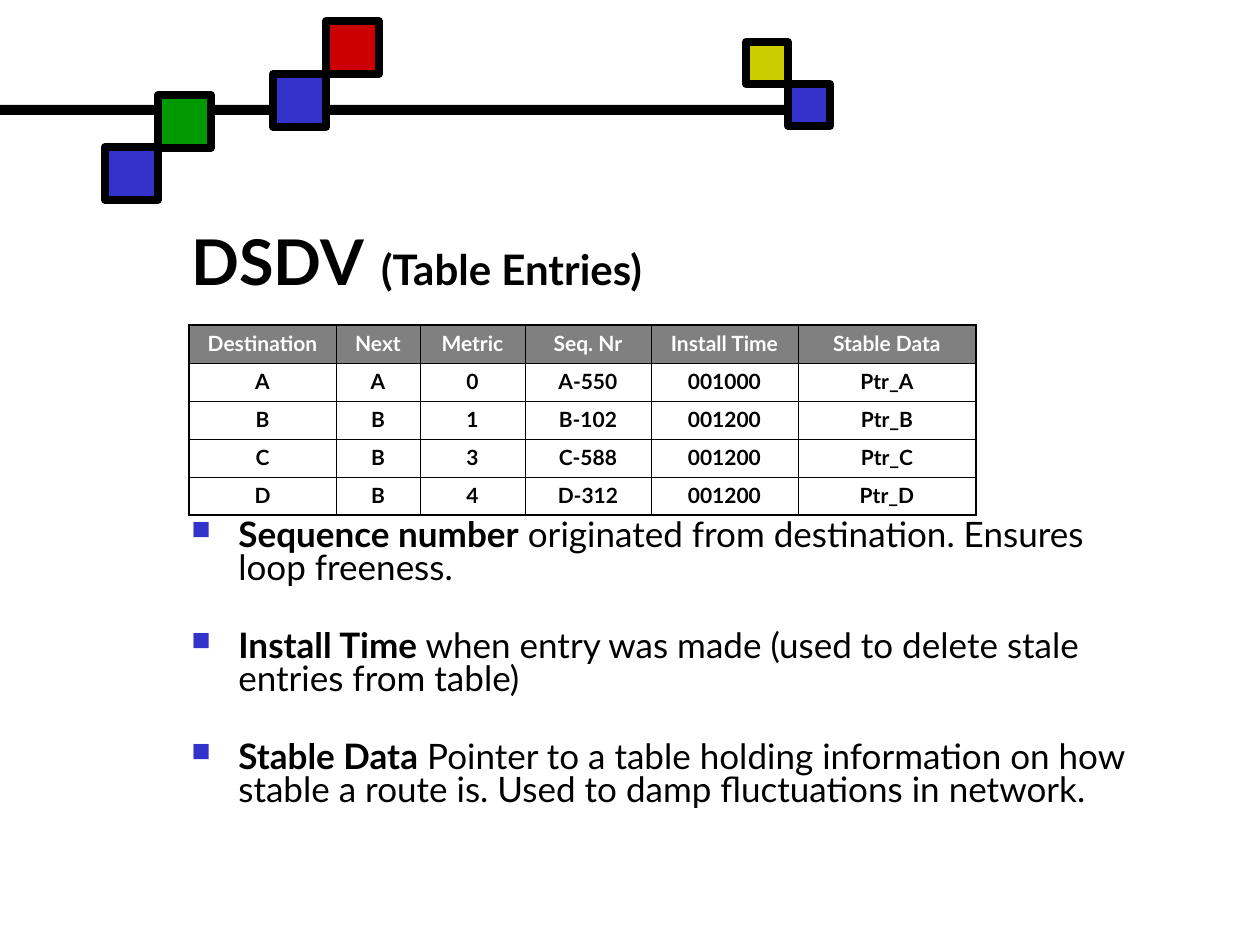
from lxml.etree import SubElement
from pptx import Presentation
from pptx.dml.color import RGBColor as RGB
from pptx.enum.shapes import MSO_SHAPE as SHAPE
from pptx.enum.text import MSO_ANCHOR as ANCHOR, MSO_AUTO_SIZE as AUTO, PP_ALIGN as ALIGN
from pptx.oxml.ns import qn
from pptx.util import Emu, Pt

EMU_PER_PX = 914400 / 126
FONT = "Lato"
COLORS = {
    "black": "000000", "white": "FFFFFF", "gray": "808080", "blue": "3333CC",
    "green": "009900", "red": "CC0000", "yellow": "CCCC00",
}

# Left, top, side, colour, relative to the ornament
SQUARES = [
    (788, 84, 42, "blue"), (746, 42, 42, "yellow"),
    (273, 74, 53, "blue"), (105, 147, 53, "blue"),
    (158, 95, 53, "green"), (326, 21, 53, "red"),
]
TITLE = [("DSDV", 36), (" ", 40), ("(Table Entries)", 24)]
COLUMN_WIDTHS = [147, 84, 105, 126, 147, 178]
ROW_HEIGHT = 38
ENTRIES = [
    ("Destination", "Next", "Metric", "Seq. Nr", "Install Time", "Stable Data"),
    ("A", "A", "0", "A-550", "001000", "Ptr_A"),
    ("B", "B", "1", "B-102", "001200", "Ptr_B"),
    ("C", "B", "3", "C-588", "001200", "Ptr_C"),
    ("D", "B", "4", "D-312", "001200", "Ptr_D"),
]
NOTES = [
    ("Sequence number", [" originated from destination. Ensures", "loop freeness."]),
    ("Install Time", [" when entry was made (used to delete stale entries from table)"]),
    ("Stable Data", [" Pointer to a table holding information on how stable a route is. "
                     "Used to damp fluctuations in network."]),
]


def px(n):
    return Emu(round(n * EMU_PER_PX))


def rgb(name):
    return RGB.from_string(COLORS[name])


def add_run(p, text, size, bold=True, color="black"):
    r = p.add_run()
    r.text = text
    for name, value in {"name": FONT, "size": Pt(size), "bold": bold}.items():
        setattr(r.font, name, value)
    r.font.color.rgb = rgb(color)


def add_rect(slide, left, top, width, height, color, line=None):
    s = slide.shapes.add_shape(SHAPE.RECTANGLE, *map(px, (left, top, width, height)))
    s.shadow.inherit = False
    s.fill.solid()
    s.fill.fore_color.rgb = rgb(color)
    if line:
        s.line.color.rgb = rgb("black")
        s.line.width = Pt(line)
    else:
        s.line.fill.background()


def add_ornament(slide, left, top):
    # Bar with coloured squares
    add_rect(slide, left, top + 105, 809, 10, "black")
    for x, y, side, color in SQUARES:
        add_rect(slide, left + x, top + y, side, side, color, 4.5)


def set_title(slide, left, top, width, height):
    title = slide.shapes.title
    box = {"left": left, "top": top, "width": width, "height": height}
    for name, value in box.items():
        setattr(title, name, px(value))
    tf = title.text_frame
    tf.auto_size = AUTO.NONE
    tf.vertical_anchor = ANCHOR.MIDDLE
    p = tf.paragraphs[0]
    p.alignment = ALIGN.LEFT
    for text, size in TITLE:
        add_run(p, text, size)


def set_borders(cell, outer_sides):
    # Outer edges are heavier than the inner grid
    tc_pr = cell._tc.get_or_add_tcPr()
    for i, side in enumerate(("L", "R", "T", "B")):
        width = 1.08 if side in outer_sides else 0.45
        ln = SubElement(tc_pr, qn(f"a:ln{side}"), w=str(Pt(width)))
        fill = SubElement(ln, qn("a:solidFill"))
        SubElement(fill, qn("a:srgbClr"), val=COLORS["black"])
        tc_pr.insert(i, ln)


def add_entry_table(slide, left, top):
    rows, cols = len(ENTRIES), len(COLUMN_WIDTHS)
    table = slide.shapes.add_table(
        rows, cols, px(left), px(top), px(sum(COLUMN_WIDTHS)), px(rows * ROW_HEIGHT)).table
    table.horz_banding = False
    for column, width in zip(table.columns, COLUMN_WIDTHS):
        column.width = px(width)
    margins = {"margin_left": px(3), "margin_right": px(3),
               "margin_top": px(6), "margin_bottom": px(6)}
    for r, entry in enumerate(ENTRIES):
        table.rows[r].height = px(ROW_HEIGHT)
        for c, text in enumerate(entry):
            cell = table.cell(r, c)
            for name, value in margins.items():
                setattr(cell, name, value)
            if r == 0:
                cell.fill.solid()
                cell.fill.fore_color.rgb = rgb("gray")
            else:
                cell.fill.background()
            edges = {"L": c == 0, "R": c == cols - 1, "T": r == 0, "B": r == rows - 1}
            set_borders(cell, [side for side, outer in edges.items() if outer])
            p = cell.text_frame.paragraphs[0]
            p.alignment = ALIGN.CENTER
            add_run(p, text, 12, color="black" if r else "white")


def add_bullet(p):
    p_pr = p._p.get_or_add_pPr()
    p_pr.set("marL", str(px(47)))
    p_pr.set("indent", str(-px(47)))
    SubElement(SubElement(p_pr, qn("a:buClr")), qn("a:srgbClr"), val=COLORS["blue"])
    SubElement(p_pr, qn("a:buSzPct"), val="75000")
    SubElement(p_pr, qn("a:buChar"), char="■")


def add_notes_list(slide, left, top, width, height):
    tf = slide.shapes.add_textbox(*map(px, (left, top, width, height))).text_frame
    tf.word_wrap = True
    for i, (term, lines) in enumerate(NOTES):
        p = tf.add_paragraph() if i else tf.paragraphs[0]
        add_bullet(p)
        p.line_spacing = 0.8
        p.space_before = Pt(25 if i else 0)
        add_run(p, term, 20)
        for j, line in enumerate(lines):
            if j:
                p.add_line_break()
            add_run(p, line, 20, bold=False)


def main():
    prs = Presentation()
    prs.slide_width, prs.slide_height = px(1260), px(945)
    slide = prs.slides.add_slide(prs.slide_layouts[5])
    add_ornament(slide, 0, 0)
    set_title(slide, 179, 210, 1029, 95)
    add_entry_table(slide, 189, 325)
    add_notes_list(slide, 179, 514, 977, 368)
    prs.save("out.pptx")


if __name__ == "__main__":
    main()
